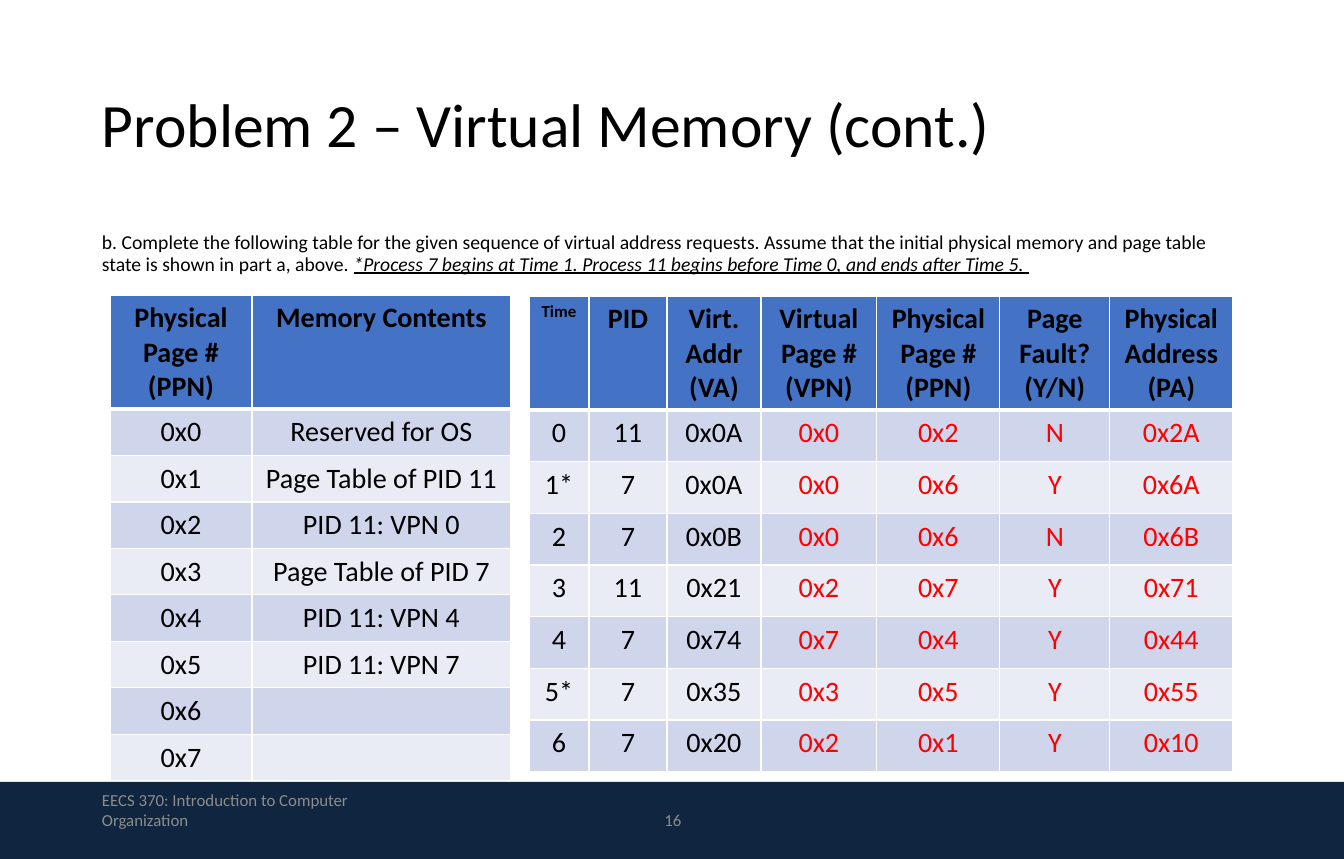
from lxml import etree
from pptx import Presentation, util as u
from pptx.dml.color import RGBColor
from pptx.enum import shapes, text
from pptx.oxml import ns

PX = 9048  # EMU per px
FONT = "Calibri"
BLACK = RGBColor(0x00, 0x00, 0x00)
WHITE = RGBColor(0xFF, 0xFF, 0xFF)
RED = RGBColor(0xFF, 0x00, 0x00)
GREY = RGBColor(0x8C, 0x8C, 0x8C)
NAVY = RGBColor(0x10, 0x25, 0x3F)
HEADER_BLUE = RGBColor(0x44, 0x72, 0xC4)
BANDS = [RGBColor(0xE9, 0xEB, 0xF5), RGBColor(0xCF, 0xD5, 0xEA)]
HEADER_HEIGHT = 114


def write(paragraph, wording, size, color=BLACK, **format_values):
    run = paragraph.add_run()
    run.text = wording
    run.font.color.rgb = color
    for key, value in {"name": FONT, "size": u.Pt(size), **format_values}.items():
        setattr(run.font, key, value)


def add_grid(left, top, widths, body_height, rows, answer_columns=()):
    grid = slide.shapes.add_table(len(rows), len(widths), left * PX, top * PX,
                                  sum(widths) * PX, (HEADER_HEIGHT + body_height) * PX).table
    for column, width in zip(grid.columns, widths):
        column.width = width * PX
    for r, row in enumerate(rows):
        header = r == 0
        grid.rows[r].height = HEADER_HEIGHT * PX if header else body_height * PX // (len(rows) - 1)
        for c, wording in enumerate(row):
            cell = grid.cell(r, c)
            for side, inset in {"left": 11, "right": 11, "top": 6, "bottom": 6}.items():
                setattr(cell, f"margin_{side}", inset * PX)
            paragraph = cell.text_frame.paragraphs[0]
            paragraph.alignment = text.PP_ALIGN.CENTER
            if wording:
                write(paragraph, wording, 12 if wording == "Time" else 20,
                      RED if c in answer_columns and not header else BLACK, bold=header)
            # White borders, thicker between header and body
            properties = cell._tc.get_or_add_tcPr()
            for edge in ("lnL", "lnR", "lnT", "lnB"):
                thick = (r, edge) in ((0, "lnB"), (1, "lnT"))
                border = etree.SubElement(properties, ns.qn(f"a:{edge}"), w=str(u.Pt(3 if thick else 1)))
                fill = etree.SubElement(border, ns.qn("a:solidFill"))
                etree.SubElement(fill, ns.qn("a:srgbClr"), val=str(WHITE))
            cell.fill.solid()
            cell.fill.fore_color.rgb = HEADER_BLUE if header else BANDS[r % 2]


deck = Presentation()
deck.slide_width, deck.slide_height = u.Inches(13.3), u.Inches(8.5)
slide = deck.slides.add_slide(deck.slide_layouts[6])

# Footer bar
bar_top = 782 * PX
footer_bar = slide.shapes.add_shape(shapes.MSO_SHAPE.RECTANGLE, 0, bar_top,
                                    deck.slide_width, deck.slide_height - bar_top)
footer_bar.shadow.inherit = False
footer_bar.fill.solid()
footer_bar.fill.fore_color.rgb = NAVY
footer_bar.line.fill.background()

# Title, question, course name and page number
MIDDLE, TOP = text.MSO_ANCHOR.MIDDLE, text.MSO_ANCHOR.TOP
LEFT, CENTER = text.PP_ALIGN.LEFT, text.PP_ALIGN.CENTER
passages = [
    ((92, 45, 1160, 166), MIDDLE, LEFT, 0.9, [("Problem 2 – Virtual Memory (cont.)", 43.9, BLACK, {})]),
    ((92, 228, 1160, 545), TOP, LEFT, 0.9, [
        ("b. Complete the following table for the given sequence of virtual address requests. "
         "Assume that the initial physical memory and page table state is shown in part a, above. ",
         14, BLACK, {}),
        ("*Process 7 begins at Time 1. Process 11 begins before Time 0, and ends after Time 5. ",
         14, BLACK, {"italic": True, "underline": True})]),
    ((92, 787, 302, 45), MIDDLE, LEFT, 1.0,
     [("EECS 370: Introduction to Computer Organization", 12, GREY, {})]),
    ((446, 797, 454, 45), MIDDLE, CENTER, 1.0, [("16", 12, GREY, {})]),
]
for box, anchor, alignment, spacing, runs in passages:
    frame = slide.shapes.add_textbox(*(length * PX for length in box)).text_frame
    frame.word_wrap = True
    frame.vertical_anchor = anchor
    paragraph = frame.paragraphs[0]
    paragraph.alignment = alignment
    paragraph.line_spacing = spacing
    for wording, size, color, format_values in runs:
        write(paragraph, wording, size, color, **format_values)

# Address requests, with the answers in red
requests = [
    ["Time", "PID", "Virt. Addr (VA)", "Virtual Page # (VPN)", "Physical Page # (PPN)",
     "Page Fault? (Y/N)", "Physical Address (PA)"],
    ["0", "11", "0x0A", "0x0", "0x2", "N", "0x2A"],
    ["1*", "7", "0x0A", "0x0", "0x6", "Y", "0x6A"],
    ["2", "7", "0x0B", "0x0", "0x6", "N", "0x6B"],
    ["3", "11", "0x21", "0x2", "0x7", "Y", "0x71"],
    ["4", "7", "0x74", "0x7", "0x4", "Y", "0x44"],
    ["5*", "7", "0x35", "0x3", "0x5", "Y", "0x55"],
    ["6", "7", "0x20", "0x2", "0x1", "Y", "0x10"],
]
add_grid(529, 296, [60, 78, 94, 116, 123, 110, 123], 362, requests, answer_columns=range(3, 7))

# Physical memory
contents = ["Reserved for OS", "Page Table of PID 11", "PID 11: VPN 0", "Page Table of PID 7",
            "PID 11: VPN 4", "PID 11: VPN 7", "", ""]
memory = [["Physical Page # (PPN)", "Memory Contents"]]
memory += [[f"0x{page}", content] for page, content in enumerate(contents)]
add_grid(110, 295, [142, 259], 372, memory)

deck.save("out.pptx")
